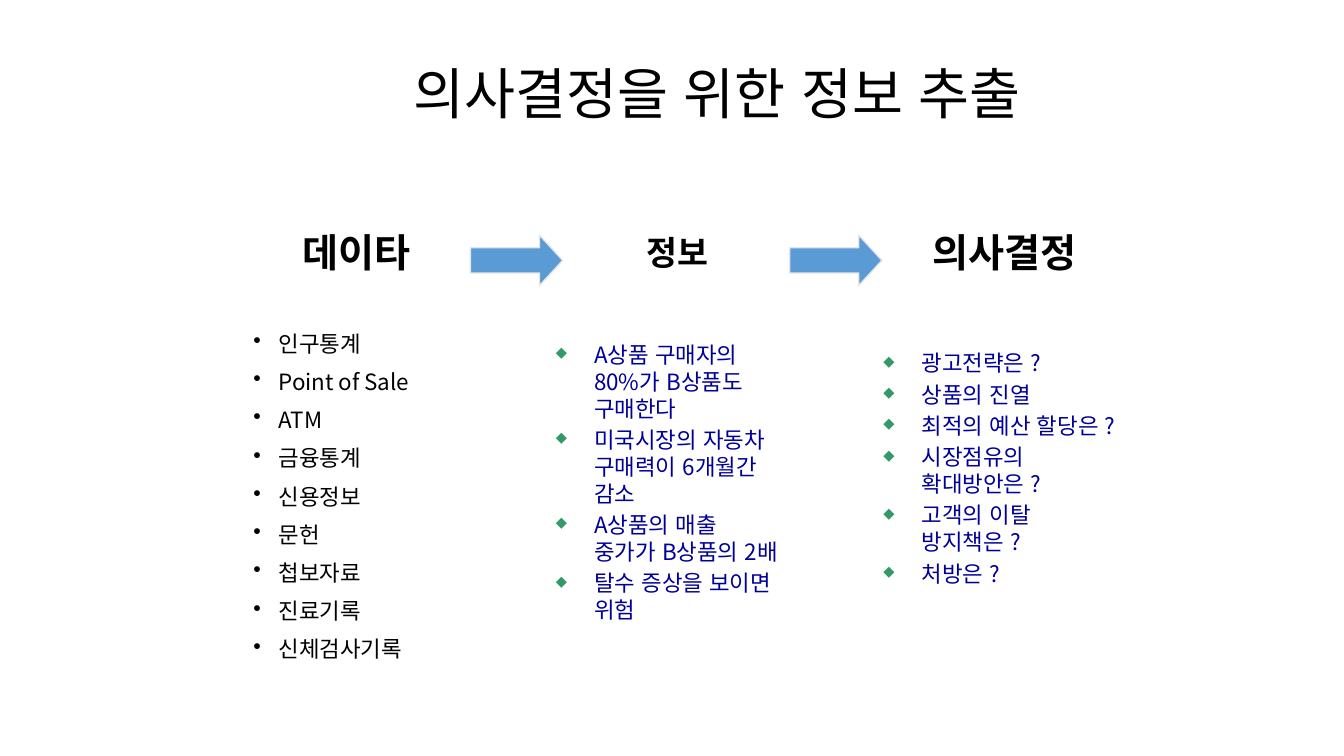
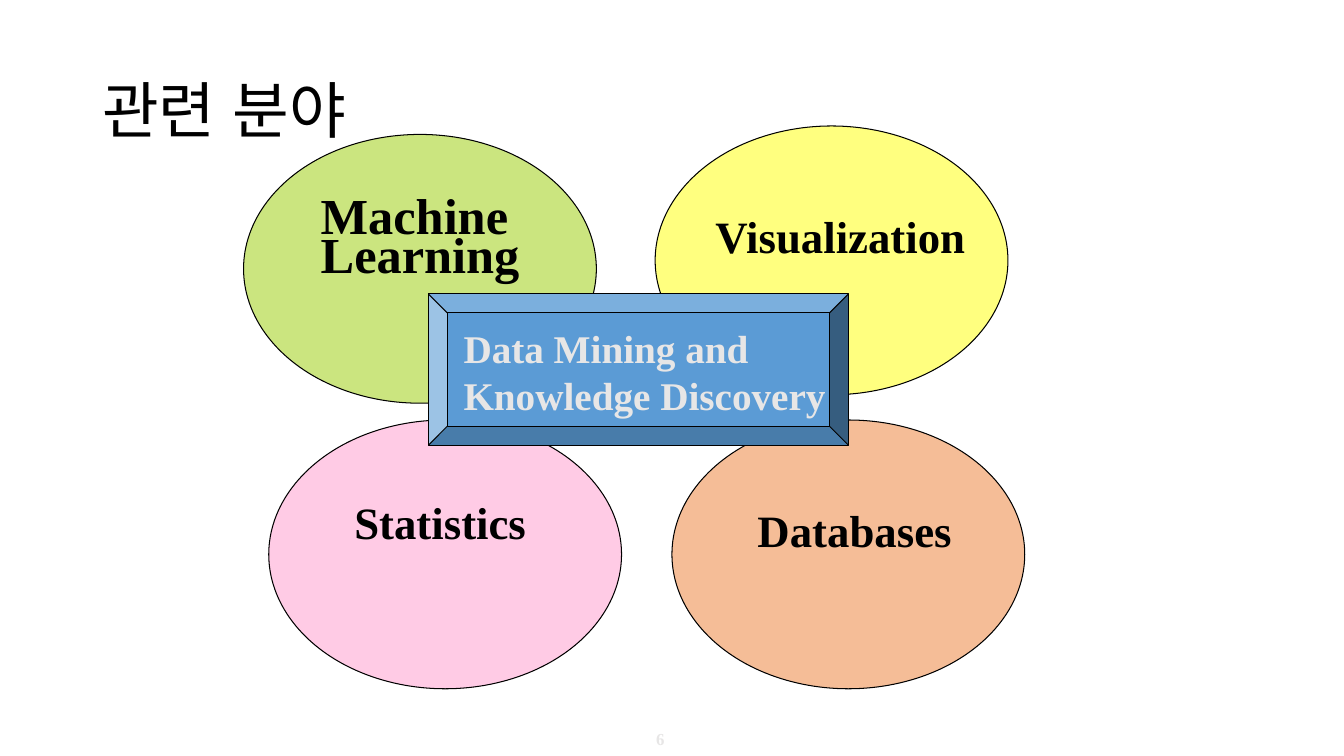
from lxml.etree import SubElement
from pptx import Presentation
from pptx.dml.color import RGBColor
from pptx.enum.lang import MSO_LANGUAGE_ID
from pptx.enum.shapes import MSO_SHAPE
from pptx.enum.text import MSO_ANCHOR, PP_ALIGN
from pptx.oxml.ns import qn
from pptx.util import Inches, Pt

COLORS = {
    "ink": "000000", "blue": "5B9BD5", "pale": "E7E6E6", "navy": "000099",
    "green": "339966", "orange": "ED7D31", "pink": "FF99CC",
    "yellow": "FFFF00", "lime": "99CC00",
}
SANS, SERIF = "Noto Sans CJK KR", "Times New Roman"
CELL = Inches(1) / 12  # the slide is a grid of 160 by 90 cells
PAGE = (0, 0, 160, 90)


def rgb(name):
    return RGBColor.from_string(COLORS[name])


def cells(*nums):
    return [round(n * CELL) for n in nums]


def inside(box, col, row, wide, high):
    return box[0] + col, box[1] + row, wide, high


# Text and shapes
def add_text(slide, box, lines, size, font=SANS, color="ink", bold=False,
             wrap=True, gap=0, lead=None, anchor=MSO_ANCHOR.TOP):
    frame = slide.shapes.add_textbox(*cells(*box)).text_frame
    frame.word_wrap = wrap
    frame.vertical_anchor = anchor
    frame.text = "\n".join(lines)
    for para in frame.paragraphs:
        para.space_before = Pt(gap)
        para.line_spacing = lead
        for run in para.runs:
            face = run.font
            face.size, face.bold, face.name = Pt(size), bold, font
            face.color.rgb = rgb(color)
            face.language_id = MSO_LANGUAGE_ID.KOREAN
            SubElement(face._element, qn("a:ea"), typeface=SANS)
    return frame


def add_title(slide, box, text, size):
    add_text(slide, box, [text], size, lead=0.9, anchor=MSO_ANCHOR.MIDDLE)


def add_label(slide, box, lines, size, **style):
    add_text(slide, box, lines, size, SERIF, bold=True, wrap=False, **style)


def add_list(slide, box, items, mark, indent, tint=None, **style):
    frame = add_text(slide, box, items, 16, **style)
    for para in frame.paragraphs:
        props = para._p.get_or_add_pPr()
        props.set("marL", str(Inches(indent)))
        props.set("indent", str(-Inches(indent)))
        if tint:
            hue = SubElement(props, qn("a:buClr"))
            SubElement(hue, qn("a:srgbClr"), val=COLORS[tint])
            SubElement(props, qn("a:buSzPct"), val="65000")
        SubElement(props, qn("a:buChar"), char=mark)


def add_form(slide, kind, box, fill, line="ink", width=0.75, alpha=None):
    form = slide.shapes.add_shape(kind, *cells(*box))
    form.shadow.inherit = False
    form.fill.solid()
    form.fill.fore_color.rgb = rgb(fill)
    form.line.color.rgb = rgb(line)
    form.line.width = Pt(width)
    if alpha:
        hue = form._element.spPr.find(qn("a:solidFill"))[0]
        SubElement(hue, qn("a:alpha"), val=str(alpha * 1000))
    return form


# Slide 1: from data to decision
def draw_flow(slide, box):
    heads = [("데이타", 28, 34.8, 16.4), ("정보", 24, 75.8, 10.4),
             ("의사결정", 28, 109.8, 21.1)]
    for text, size, col, wide in heads:
        add_label(slide, inside(box, col, 26.6, wide, 6.8), [text], size,
                  anchor=MSO_ANCHOR.MIDDLE)
    for col in (56, 94):
        arrow = add_form(slide, MSO_SHAPE.RIGHT_ARROW,
                         inside(box, col, 28, 11, 6), "blue", "pale", 1)
        arrow.adjustments[1] = 0.46


def draw_lists(slide, box):
    data = ["인구통계", "Point of Sale", "ATM", "금융통계", "신용정보",
            "문헌", "첩보자료", "진료기록", "신체검사기록"]
    facts = ["A상품 구매자의 80%가 B상품도 구매한다",
             "미국시장의 자동차 구매력이 6개월간 감소",
             "A상품의 매출 중가가 B상품의 2배", "탈수 증상을 보이면 위험"]
    plans = ["광고전략은 ?", "상품의 진열", "최적의 예산 할당은 ?",
             "시장점유의 확대방안은 ?", "고객의 이탈 방지책은 ?", "처방은 ?"]
    add_list(slide, inside(box, 29, 39, 29, 41), data, "•", 0.25,
             gap=10, lead=Pt(17.3))
    for col, row, items in ((65, 40, facts), (104, 41, plans)):
        add_list(slide, inside(box, col, row, 29, 41), items, "◆", 0.38,
                 "green", color="navy", gap=3.2, lead=Pt(19.2))


# Slide 2: four fields around one core
def draw_fields(slide, box):
    ovals = [(80, 50, "orange"), (32, 50, "pink"),
             (78, 15, "yellow"), (29, 16, "lime")]
    for col, row, fill in ovals:
        add_form(slide, MSO_SHAPE.OVAL, inside(box, col, row, 42, 32),
                 fill, alpha=50)
    core = inside(box, 51, 35, 50, 18)
    add_form(slide, MSO_SHAPE.BEVEL, core, "blue").adjustments[0] = 0.125
    names = [(41, 59, "Statistics"), (89, 60, "Databases"),
             (84, 25, "Visualization")]
    for col, row, text in names:
        add_label(slide, inside(box, col, row, 36, 7), [text], 32, lead=0.9)
    add_label(slide, inside(box, 37, 25, 31, 9), ["Machine", "Learning"], 36,
              gap=10.8, lead=0.4)
    add_label(slide, inside(core, 3, 3, 46, 12),
              ["Data Mining and", "Knowledge Discovery"], 28, color="pale")


def draw_number(slide, box, text):
    frame = add_text(slide, inside(box, 74.6, 86.5, 8, 3), [text], 12, SERIF,
                     "pale", True, anchor=MSO_ANCHOR.MIDDLE)
    frame.paragraphs[0].alignment = PP_ALIGN.CENTER


def main():
    deck = Presentation()
    deck.slide_width, deck.slide_height = cells(*PAGE[2:])
    blank = deck.slide_layouts[6]

    slide = deck.slides.add_slide(blank)
    add_title(slide, (48, 4, 87, 15), "의사결정을 위한 정보 추출", 39.6)
    draw_flow(slide, PAGE)
    draw_lists(slide, PAGE)

    slide = deck.slides.add_slide(blank)
    draw_fields(slide, PAGE)
    add_title(slide, (11, 4.8, 138, 17.4), "관련 분야", 44)
    draw_number(slide, PAGE, "6")

    deck.save("out.pptx")


if __name__ == "__main__":
    main()
